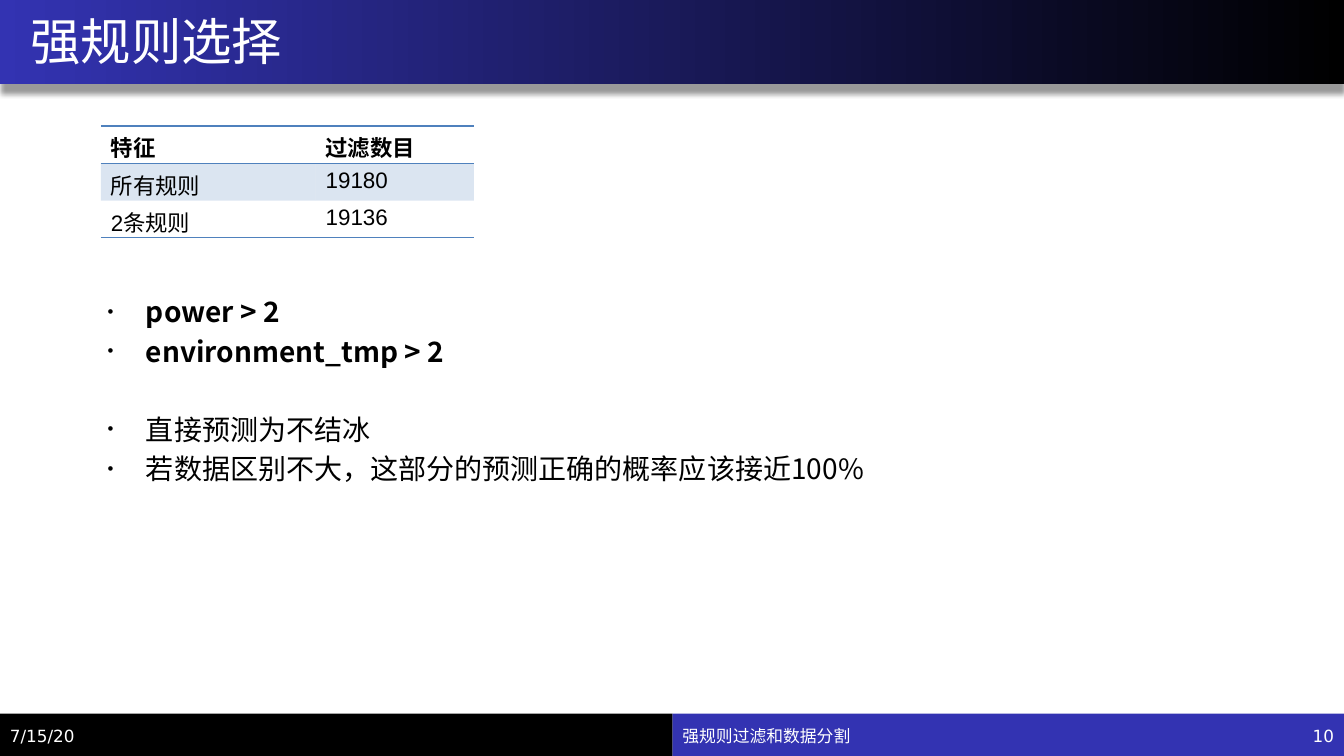
from lxml import etree
from pptx import Presentation
from pptx.dml.color import RGBColor
from pptx.enum.shapes import MSO_SHAPE
from pptx.enum.text import MSO_ANCHOR, PP_ALIGN
from pptx.oxml.ns import qn
from pptx.util import Inches, Pt

RECTANGLE = MSO_SHAPE.RECTANGLE
TOP, MIDDLE = MSO_ANCHOR.TOP, MSO_ANCHOR.MIDDLE
LEFT, RIGHT = PP_ALIGN.LEFT, PP_ALIGN.RIGHT
CJK_FONT, SANS, MONO, ARIAL = "Noto Sans CJK SC", "DejaVu Sans", "DejaVu Sans Mono", "Arial"
COLORS = {"black": "000000", "white": "FFFFFF", "indigo": "3333B2", "table": "4F81BD"}

# Content
TITLE = "强规则选择"
TABLE_ROWS = [("特征", "过滤数目"), ("所有规则", "19180"), ("2条规则", "19136")]
COLUMN_WIDTHS = (2.13, 1.57)
ROW_HEIGHT = 0.37
# text, bold, space before in points
BULLETS = [
    ("power > 2", True, 0),
    ("environment_tmp > 2", True, 0),
    ("直接预测为不结冰", False, 28),
    ("若数据区别不大，这部分的预测正确的概率应该接近100%", False, 0),
]
# text, left, width, alignment
FOOTERS = [
    ("强规则过滤和数据分割", 6.67, 5.11, LEFT),
    ("10", 11.78, 1.55, RIGHT),
    ("7/15/20", 0, 1.56, LEFT),
]


def color(name):
    return RGBColor.from_string(COLORS[name])


def add_element(parent, tag, **attributes):
    element = etree.SubElement(parent, qn(tag))
    for key, value in attributes.items():
        element.set(key, str(value))
    return element


def write(paragraph, text, size=12, font=SANS, fill="black", bold=False, align=LEFT):
    paragraph.alignment = align
    run = paragraph.add_run()
    run.text = text
    run.font.size = Pt(size)
    run.font.name = font
    run.font.bold = bold
    run.font.color.rgb = color(fill)
    add_element(run.font._element, "a:ea", typeface=CJK_FONT)


def add_bar(left, top, width, height, fill):
    bar = slide.shapes.add_shape(RECTANGLE, Inches(left), Inches(top), Inches(width), Inches(height))
    bar.shadow.inherit = False
    bar.fill.solid()
    bar.fill.fore_color.rgb = color(fill)
    bar.line.fill.background()
    return bar


def add_text_box(left, top, width, height, anchor):
    box = slide.shapes.add_textbox(Inches(left), Inches(top), Inches(width), Inches(height))
    box.text_frame.word_wrap = True
    box.text_frame.vertical_anchor = anchor
    return box.text_frame


def set_borders(cell, lined_sides):
    properties = cell._tc.get_or_add_tcPr()
    for side in ("L", "R", "T", "B"):
        line = add_element(properties, f"a:ln{side}", w=Pt(1))
        if side in lined_sides:
            solid = add_element(line, "a:solidFill")
            add_element(solid, "a:srgbClr", val=COLORS["table"])
        else:
            add_element(line, "a:noFill")


presentation = Presentation()
presentation.slide_width, presentation.slide_height = Inches(13.33), Inches(7.5)
slide = presentation.slides.add_slide(presentation.slide_layouts[5])

# Footer and header bars
add_bar(6.67, 7.08, 6.66, 0.42, "indigo")
add_bar(0, 7.08, 6.67, 0.42, "black")
header = add_bar(0, 0, 13.33, 0.83, "indigo")
header.fill.gradient()
header.fill.gradient_angle = 0
for stop, name, position in zip(header.fill.gradient_stops, ("indigo", "black"), (0, 1)):
    stop.color.rgb = color(name)
    stop.position = position
effects = header._element.spPr.find(qn("a:effectLst"))
shadow = add_element(effects, "a:outerShdw", blurRad=Pt(4), dist=Pt(7), dir=5400000,
                     algn="t", rotWithShape=0)
shadow_color = add_element(shadow, "a:srgbClr", val=COLORS["black"])
add_element(shadow_color, "a:alpha", val=40000)

# Title, brought in front of the header bar
title = slide.shapes.title
title.left, title.top, title.width, title.height = 0, 0, Inches(13.13), Inches(0.81)
title.text_frame.vertical_anchor = MIDDLE
title.text_frame.margin_left = Inches(0.3)
write(title.text_frame.paragraphs[0], TITLE, size=36, font=MONO, fill="white")
slide.shapes._spTree.append(title._element)

# Bullets
body = add_text_box(0.97, 2.82, 9.17, 3, TOP)
for index, (text, bold, space_before) in enumerate(BULLETS):
    paragraph = body.add_paragraph() if index else body.paragraphs[0]
    paragraph.line_spacing = Pt(28)
    paragraph.space_before = Pt(space_before)
    properties = paragraph._p.get_or_add_pPr()
    properties.set("marL", str(Inches(0.38)))
    properties.set("indent", str(-Inches(0.38)))
    add_element(properties, "a:buSzPct", val=60000)
    add_element(properties, "a:buFont", typeface=ARIAL)
    add_element(properties, "a:buChar", char="•")
    write(paragraph, text, size=20, font=CJK_FONT, bold=bold)

# Footer texts
for text, left, width, align in FOOTERS:
    frame = add_text_box(left, 7.1, width, 0.4, MIDDLE)
    write(frame.paragraphs[0], text, fill="white", align=align)

# Table
table = slide.shapes.add_table(
    len(TABLE_ROWS), len(COLUMN_WIDTHS), Inches(1), Inches(1.25),
    Inches(sum(COLUMN_WIDTHS)), Inches(ROW_HEIGHT * len(TABLE_ROWS))).table
table.horz_banding = False
for column, width in zip(table.columns, COLUMN_WIDTHS):
    column.width = Inches(width)
ROW_BORDERS = ("TB", "T", "B")
for row_index, values in enumerate(TABLE_ROWS):
    table.rows[row_index].height = Inches(ROW_HEIGHT)
    for column_index, value in enumerate(values):
        cell = table.cell(row_index, column_index)
        set_borders(cell, ROW_BORDERS[row_index])
        if row_index == 1:
            cell.fill.solid()
            cell.fill.fore_color.rgb = color("table")
            tint = cell._tc.tcPr.find(qn("a:solidFill")).find(qn("a:srgbClr"))
            add_element(tint, "a:alpha", val=20000)
        else:
            cell.fill.background()
        font = SANS if value == "所有规则" else ARIAL
        write(cell.text_frame.paragraphs[0], value, size=16, font=font, bold=row_index == 0)

presentation.save("out.pptx")
